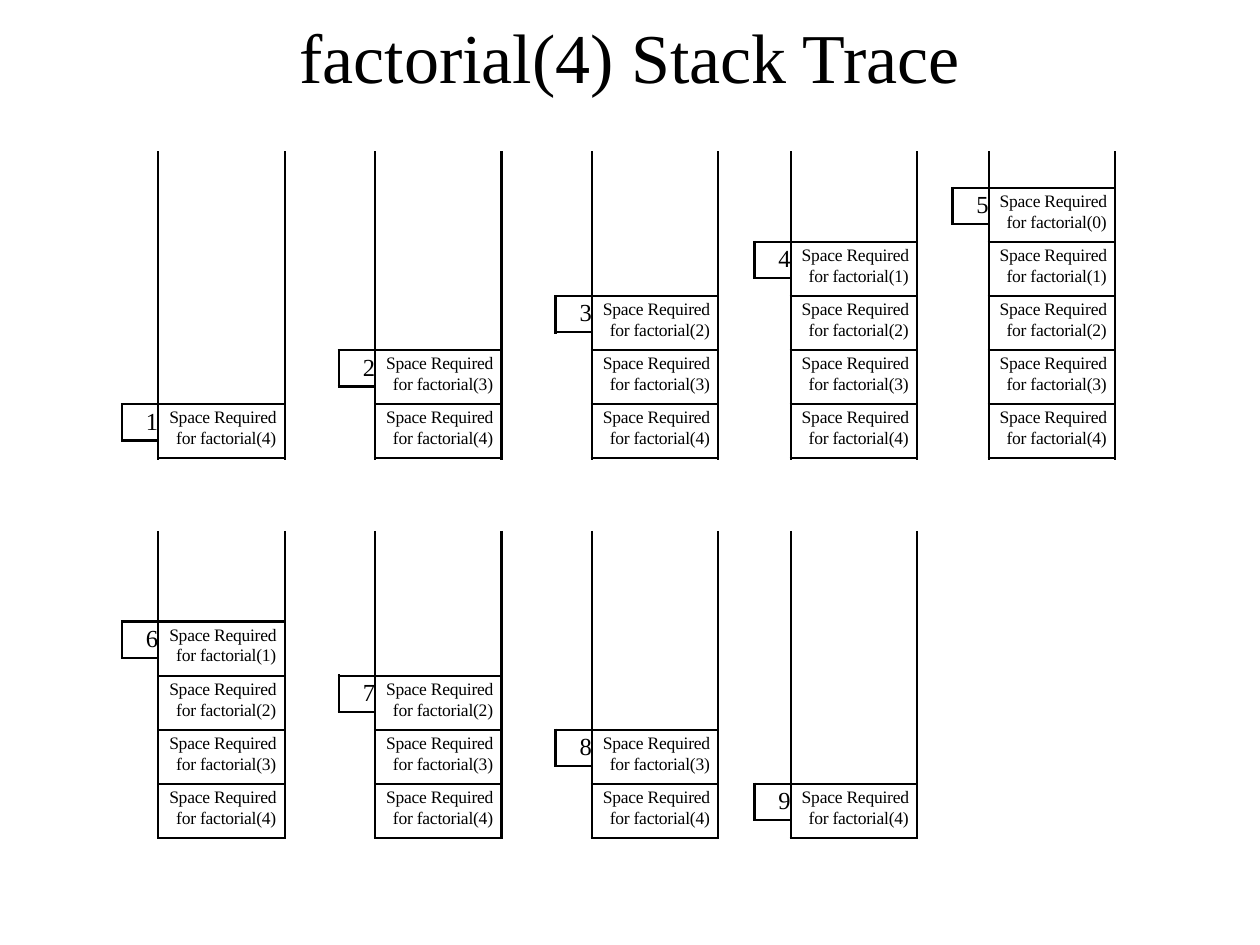
from dataclasses import dataclass

from lxml import etree
from pptx import Presentation
from pptx import util as u
from pptx.dml.color import RGBColor
from pptx.enum import text
from pptx.oxml.ns import qn

BLACK = RGBColor(0x00, 0x00, 0x00)
FONT = "Times New Roman"
BORDER_WIDTH = u.Pt(1.5)

# Grid of the stacks, in centimetres
COLUMN_LEFTS = (2.46, 6.83, 11.2, 15.21, 19.2)
ROW_TOPS = (3.05, 10.7)
STACK_HEIGHT = 6.19
FRAME_HEIGHT, FRAME_WIDTH = 1.09, 2.55
TAG_SIZE = 0.73
BASE_CALL = 4  # the bottom frame is factorial(4)


@dataclass
class Stack:
    step: int
    depth: int
    left: float
    top: float


def write(paragraph, content: str, *, size: float, before: float = 0,
          align=text.PP_ALIGN.RIGHT, line_height=None, spacing: int = 0,
          margin: float = 0, indent: float = 0) -> None:
    """Write one formatted run; margin and indent are in centimetres."""
    paragraph.alignment = align
    paragraph.space_before = u.Pt(before)
    if line_height:
        paragraph.line_spacing = u.Pt(line_height)
    properties = paragraph._p.get_or_add_pPr()
    properties.set("marL", str(u.Cm(margin)))
    properties.set("indent", str(u.Cm(indent)))
    run = paragraph.add_run()
    run.text = content
    run.font.name = FONT
    run.font.size = u.Pt(size)
    run.font.color.rgb = BLACK
    run._r.get_or_add_rPr().set("spc", str(spacing))


def format_cell(cell, sides: str) -> None:
    """Clear fill and margins, and draw borders on the sides named in 'LRTB'."""
    cell.margin_left = cell.margin_right = 0
    cell.margin_top = cell.margin_bottom = 0
    properties = cell._tc.get_or_add_tcPr()
    for side in "LRTB":
        border = etree.SubElement(properties, qn(f"a:ln{side}"))
        if side in sides:
            border.set("w", str(BORDER_WIDTH))
            fill = etree.SubElement(border, qn("a:solidFill"))
            etree.SubElement(fill, qn("a:srgbClr")).set("val", str(BLACK))
        else:
            etree.SubElement(border, qn("a:noFill"))
    cell.fill.background()
    # A tiny end mark keeps empty cells from stretching their rows
    end_mark = etree.SubElement(cell.text_frame.paragraphs[0]._p, qn("a:endParaRPr"))
    end_mark.set("sz", "100")


def write_frame(cell, argument: int) -> None:
    cell.margin_top = u.Cm(0.05)
    cell.margin_right = u.Cm(0.17)
    write(cell.text_frame.paragraphs[0], f"Space Required for factorial({argument})",
          size=10, before=1.4, line_height=11.9, spacing=-10,
          margin=0.23, indent=-0.13)


def draw_stack(slide, stack: Stack) -> None:
    free_height = STACK_HEIGHT - stack.depth * FRAME_HEIGHT
    heights = [free_height, TAG_SIZE, FRAME_HEIGHT - TAG_SIZE]
    heights += [FRAME_HEIGHT] * (stack.depth - 1)
    last = len(heights) - 1
    table = slide.shapes.add_table(
        len(heights), 2, u.Cm(stack.left), u.Cm(stack.top),
        u.Cm(TAG_SIZE + FRAME_WIDTH), u.Cm(STACK_HEIGHT)).table
    table.first_row = table.horz_banding = False
    table.columns[0].width = u.Cm(TAG_SIZE)
    table.columns[1].width = u.Cm(FRAME_WIDTH)

    for index, height in enumerate(heights):
        table.rows[index].height = u.Cm(height)
        tag_sides = {0: "RB", 1: "LRTB", 2: "TR"}.get(index, "R")
        format_cell(table.cell(index, 0), tag_sides)
        format_cell(table.cell(index, 1), "LRB" if index == 0 else "LRTB")

    # The top frame spans the step tag and the rest of its height
    table.cell(1, 1).merge(table.cell(2, 1))
    if last > 2:
        table.cell(2, 0).merge(table.cell(last, 0))

    # Step number
    tag = table.cell(1, 0)
    tag.margin_top = u.Cm(0.08)
    write(tag.text_frame.paragraphs[0], str(stack.step), size=14, before=2)

    # Frames, from the newest call down to factorial(4)
    for level in range(stack.depth):
        row = 1 if level == 0 else level + 2
        write_frame(table.cell(row, 1), BASE_CALL - stack.depth + 1 + level)


def add_title(slide) -> None:
    title = slide.shapes.title
    title.left, title.top = u.Cm(5.99), u.Cm(0.25)
    title.width, title.height = u.Cm(13.41), u.Cm(1.75)
    frame = title.text_frame
    frame.margin_left = frame.margin_right = frame.margin_bottom = 0
    frame.margin_top = u.Cm(0.03)
    frame.vertical_anchor = text.MSO_ANCHOR.TOP
    frame.auto_size = text.MSO_AUTO_SIZE.NONE
    frame.word_wrap = True
    write(frame.paragraphs[0], "factorial(4) Stack Trace", size=40, before=1,
          align=text.PP_ALIGN.CENTER)


def main() -> None:
    deck = Presentation()
    deck.slide_width, deck.slide_height = u.Cm(25.4), u.Cm(19.05)
    slide = deck.slides.add_slide(deck.slide_layouts[5])
    add_title(slide)

    # Calls push frames in steps 1 to 5, returns pop them in steps 6 to 9
    for position, depth in enumerate((1, 2, 3, 4, 5, 4, 3, 2, 1)):
        row, column = divmod(position, len(COLUMN_LEFTS))
        draw_stack(slide, Stack(position + 1, depth, COLUMN_LEFTS[column], ROW_TOPS[row]))

    deck.save("out.pptx")


if __name__ == "__main__":
    main()
